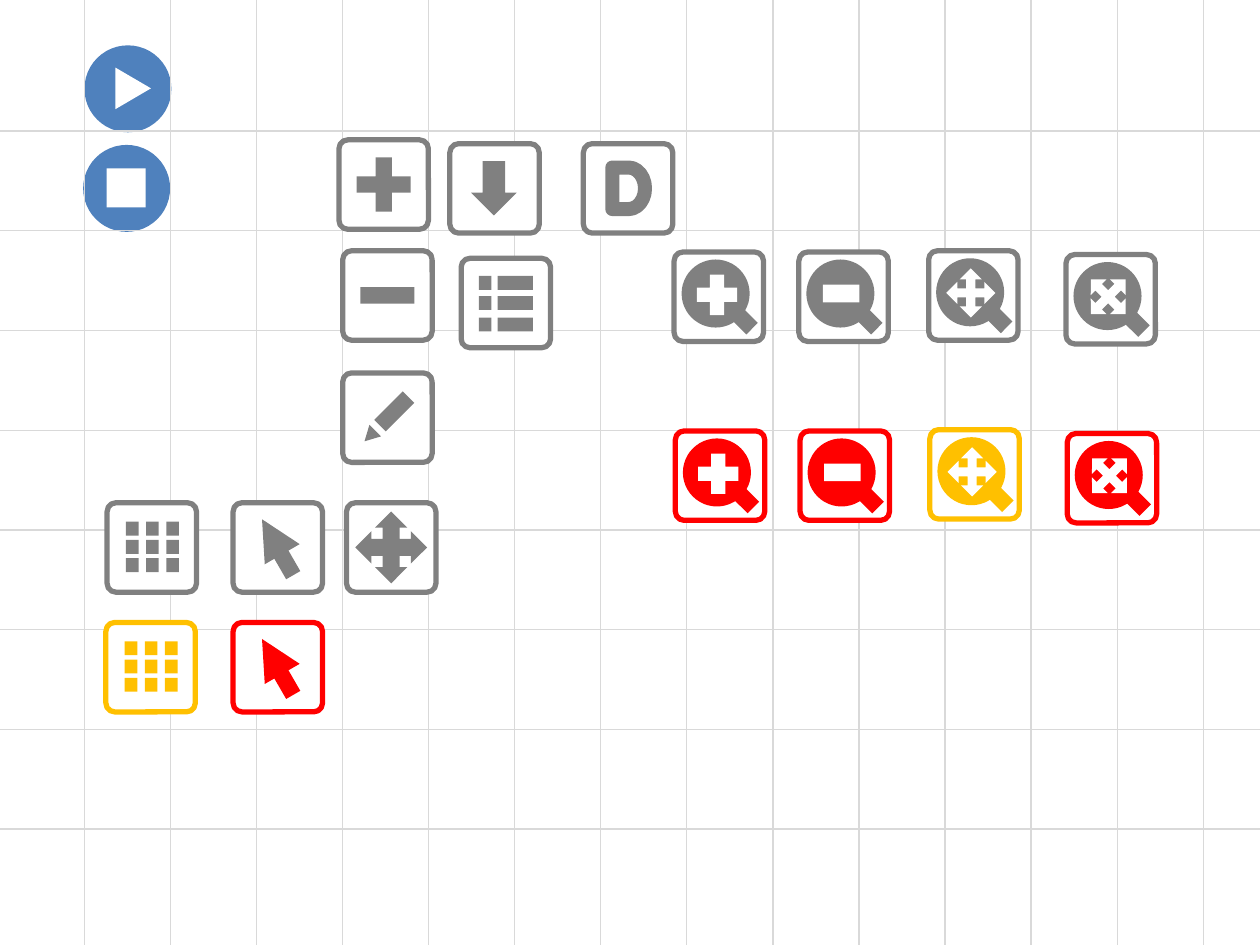
from lxml.etree import SubElement
from pptx import Presentation
from pptx.dml.color import RGBColor
from pptx.enum.shapes import MSO_CONNECTOR, MSO_SHAPE
from pptx.oxml.ns import qn
from pptx.util import Inches, Pt

WIDTH, HEIGHT = 10, 7.5
TILE = 0.71
TILE_UNITS = 71
BUTTON = 0.69
GRAY, RED, AMBER = "808080", "FF0000", "FFC000"
WHITE, BLUE, GRID = "FFFFFF", "4F81BD", "D9D9D9"


def color(hex_value):
    return RGBColor.from_string(hex_value)


def add_part(shapes, kind, frame, fill=None, rotation=0, adjustments=(), line=None, width=0):
    shape = shapes.add_shape(kind, *(Inches(length) for length in frame))
    shape.shadow.inherit = False
    shape.rotation = rotation
    for index, value in enumerate(adjustments):
        shape.adjustments[index] = value
    if fill:
        shape.fill.solid()
        shape.fill.fore_color.rgb = color(fill)
    else:
        shape.fill.background()
    if line:
        shape.line.color.rgb = color(line)
        shape.line.width = Pt(width)
    else:
        shape.line.fill.background()
    return shape


def add_grid_line(slide, start_x, start_y, end_x, end_y):
    points = (Inches(value) for value in (start_x, start_y, end_x, end_y))
    connector = slide.shapes.add_connector(MSO_CONNECTOR.STRAIGHT, *points)
    connector.line.color.rgb = color(GRID)
    connector.line.width = Pt(0.75)
    SubElement(connector._element.spPr, qn("a:effectLst"))


def add_grid(slide, left, top, column_width, row_height, columns, rows):
    for row in range(rows):
        y = top + row * row_height
        add_grid_line(slide, WIDTH, y, 0, y)
    for column in range(columns):
        x = left + column * column_width
        add_grid_line(slide, x, 0, x, HEIGHT)


def add_play_button(slide, left, top):
    shapes = slide.shapes.add_group_shape().shapes
    add_part(shapes, MSO_SHAPE.OVAL, (left, top, BUTTON, BUTTON), BLUE)
    add_part(shapes, MSO_SHAPE.ISOSCELES_TRIANGLE,
             (left + BUTTON * 0.32, top + BUTTON * 0.29, BUTTON * 0.48, BUTTON * 0.41), WHITE, 90)


def add_stop_button(slide, left, top):
    add_part(slide.shapes, MSO_SHAPE.OVAL, (left, top, BUTTON, BUTTON), BLUE)
    add_part(slide.shapes, MSO_SHAPE.RECTANGLE,
             (left + BUTTON * 0.27, top + BUTTON * 0.27, BUTTON * 0.45, BUTTON * 0.45), WHITE)


def add_tile(slide, left, top, draw_symbol, tint):
    shapes = slide.shapes.add_group_shape().shapes
    add_part(shapes, MSO_SHAPE.ROUNDED_RECTANGLE, (left, top, TILE, TILE), WHITE,
             adjustments=[0.099], line=tint, width=3)
    unit = TILE / TILE_UNITS

    def draw(kind, frame, fill=tint, rotation=0, adjustments=(), line=None, width=0):
        x, y, across, down = (value * unit for value in frame)
        add_part(shapes, kind, (left + x, top + y, across, down),
                 fill, rotation, adjustments, line, width)

    draw_symbol(draw, tint)


def plus_symbol(draw, tint):
    draw(MSO_SHAPE.CROSS, (14, 14, 43, 43), rotation=90, adjustments=[0.35])


def minus_symbol(draw, tint):
    draw(MSO_SHAPE.RECTANGLE, (14, 29, 43, 13))


def down_symbol(draw, tint):
    draw(MSO_SHAPE.DOWN_ARROW, (17, 14, 36, 43))


def pencil_symbol(draw, tint):
    draw(MSO_SHAPE.RECTANGLE, (25, 24, 32, 13), rotation=315)
    draw(MSO_SHAPE.ISOSCELES_TRIANGLE, (15, 44, 13, 12), rotation=225)


def list_symbol(draw, tint):
    for y in (14, 30, 47):
        for x, width in ((29, 28), (14, 10)):
            draw(MSO_SHAPE.ROUNDED_RECTANGLE, (x, y, width, 11), adjustments=[0])


def move_symbol(draw, tint):
    draw(MSO_SHAPE.QUAD_ARROW, (7, 7, 57, 57), adjustments=[0.238, 0.225, 0.225])


def pointer_symbol(draw, tint):
    draw(MSO_SHAPE.ISOSCELES_TRIANGLE, (15, 11, 32, 32), rotation=330)
    draw(MSO_SHAPE.RECTANGLE, (32, 42, 21, 13), rotation=60)


def dots_symbol(draw, tint):
    for y in (15, 29.5, 44):
        for x in (15, 31, 47):
            draw(MSO_SHAPE.ROUNDED_RECTANGLE, (x, y, 10, 11), adjustments=[0])


def letter_symbol(draw, tint):
    draw(MSO_SHAPE.FLOWCHART_DELAY, (23, 19, 26, 33), None, line=tint, width=8)


def magnifier(draw):
    draw(MSO_SHAPE.OVAL, (6, 6, 54, 54))
    draw(MSO_SHAPE.RECTANGLE, (44, 47, 21, 13), rotation=45)


def zoom_in_symbol(draw, tint):
    magnifier(draw)
    draw(MSO_SHAPE.CROSS, (18, 18, 32, 32), WHITE, 90, [0.324])


def zoom_out_symbol(draw, tint):
    magnifier(draw)
    draw(MSO_SHAPE.RECTANGLE, (19, 26, 29, 14), WHITE)


def pan_symbol(draw, tint, rotation=0):
    magnifier(draw)
    draw(MSO_SHAPE.QUAD_ARROW, (14, 14, 39, 39), WHITE, rotation, [0.186, 0.225, 0.225])


def fit_symbol(draw, tint):
    pan_symbol(draw, tint, 315)


TILES = [
    (2.69, 1.11, plus_symbol, GRAY),
    (2.72, 1.99, minus_symbol, GRAY),
    (3.57, 1.14, down_symbol, GRAY),
    (2.72, 2.96, pencil_symbol, GRAY),
    (3.66, 2.05, list_symbol, GRAY),
    (2.75, 3.99, move_symbol, GRAY),
    (1.85, 3.99, pointer_symbol, GRAY),
    (5.35, 2.00, zoom_in_symbol, GRAY),
    (6.34, 2.00, zoom_out_symbol, GRAY),
    (7.37, 1.99, pan_symbol, GRAY),
    (8.46, 2.02, fit_symbol, GRAY),
    (0.85, 3.99, dots_symbol, GRAY),
    (0.84, 4.94, dots_symbol, AMBER),
    (1.85, 4.94, pointer_symbol, RED),
    (5.36, 3.42, zoom_in_symbol, RED),
    (6.35, 3.42, zoom_out_symbol, RED),
    (7.38, 3.41, pan_symbol, AMBER),
    (8.47, 3.44, fit_symbol, RED),
    (4.63, 1.14, letter_symbol, GRAY),
]


def main():
    presentation = Presentation()
    presentation.slide_width = Inches(WIDTH)
    presentation.slide_height = Inches(HEIGHT)
    slide = presentation.slides.add_slide(presentation.slide_layouts[6])
    add_play_button(slide, 0.67, 0.36)
    add_stop_button(slide, 0.66, 1.15)
    add_grid(slide, 0.67, 1.04, 8.88 / 13, 5.54 / 7, 14, 8)
    for left, top, draw_symbol, tint in TILES:
        add_tile(slide, left, top, draw_symbol, tint)
    presentation.save("out.pptx")


if __name__ == "__main__":
    main()
